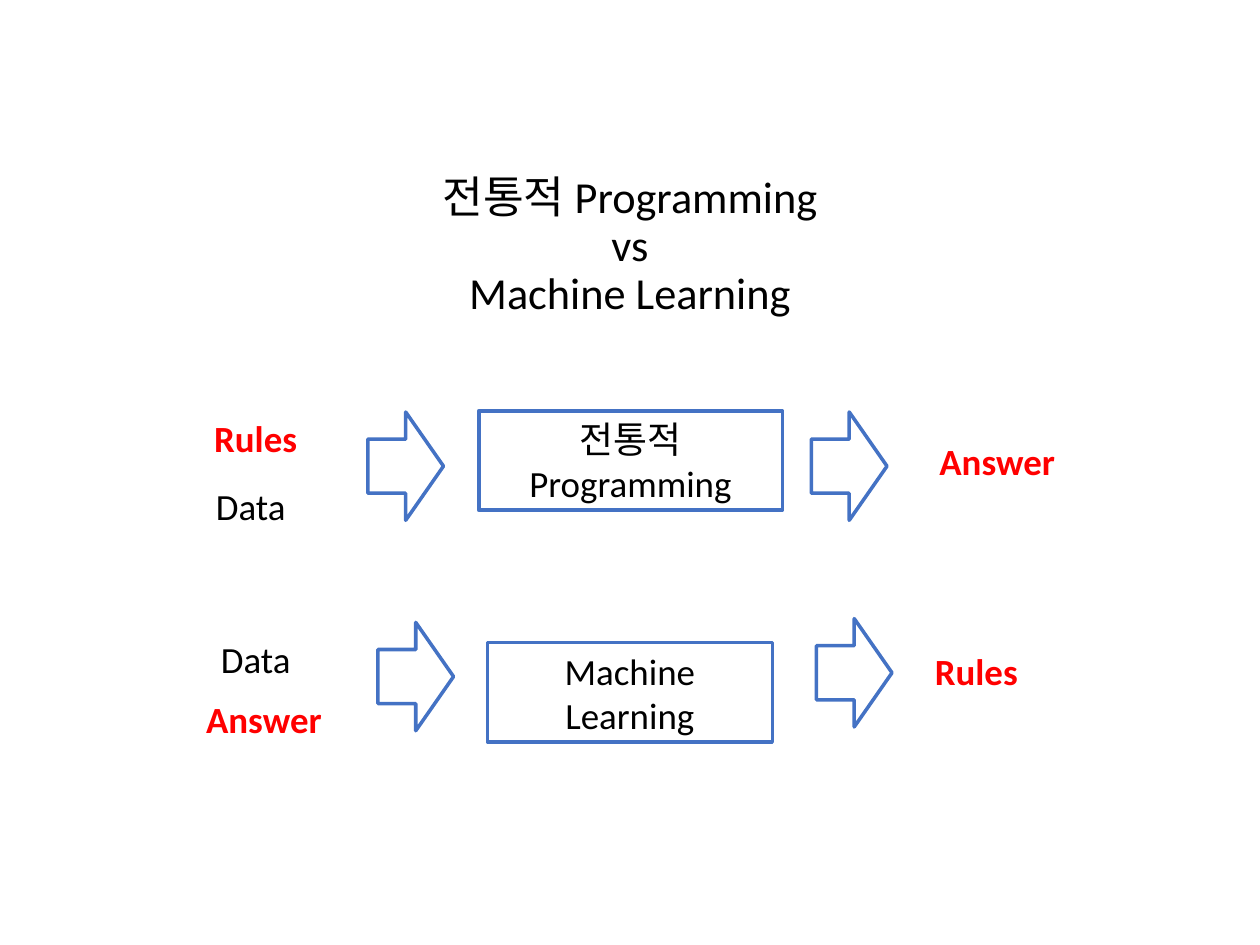
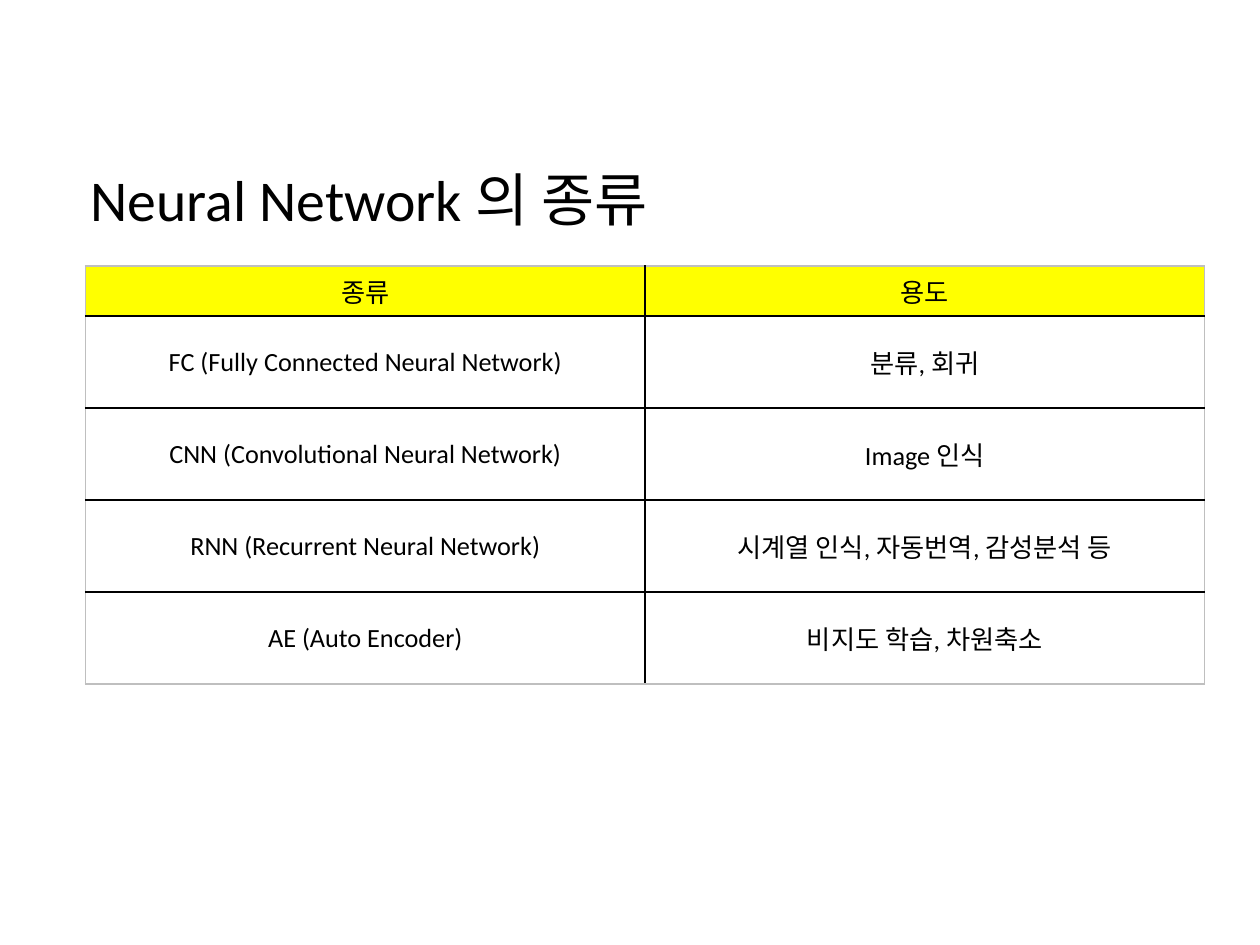
from lxml import etree
from pptx import Presentation
from pptx.dml.color import RGBColor
from pptx.enum.shapes import MSO_SHAPE
from pptx.enum.text import MSO_ANCHOR, PP_ALIGN
from pptx.oxml.ns import qn
from pptx.util import Inches, Pt

BLACK = RGBColor(0x00, 0x00, 0x00)
WHITE = RGBColor(0xFF, 0xFF, 0xFF)
RED = RGBColor(0xFF, 0x00, 0x00)
BLUE = RGBColor(0x44, 0x72, 0xC4)
YELLOW = RGBColor(0xFF, 0xFF, 0x00)
GRAY = RGBColor(0xBF, 0xBF, 0xBF)
FONT = "Calibri"
LABEL_SIZE = 21.1
LEFT, CENTER = PP_ALIGN.LEFT, PP_ALIGN.CENTER
TOP, MIDDLE = MSO_ANCHOR.TOP, MSO_ANCHOR.MIDDLE
RECTANGLE, RIGHT_ARROW = MSO_SHAPE.RECTANGLE, MSO_SHAPE.RIGHT_ARROW
LABEL_WIDTHS = {"Rules": 0.74, "Data": 0.64, "Answer": 1.01}


def write_text(frame, text, size=LABEL_SIZE, color=BLACK, bold=False,
               align=CENTER, anchor=MIDDLE, wrap=True, spacing=None):
    frame.word_wrap = wrap
    frame.vertical_anchor = anchor
    frame.margin_left = frame.margin_right = Inches(0.04)
    frame.margin_top = frame.margin_bottom = Inches(0.04)
    frame.text = text
    for para in frame.paragraphs:
        para.alignment = align
        if spacing:
            para.line_spacing = spacing
        for span in para.runs:
            span.font.name = FONT
            span.font.size = Pt(size)
            span.font.bold = bold
            span.font.color.rgb = color


def add_text(page, text, left, top, width, height, **style):
    box = page.shapes.add_textbox(
        Inches(left), Inches(top), Inches(width), Inches(height))
    write_text(box.text_frame, text, **style)


def add_outlined(page, preset, left, top, width, height):
    shape = page.shapes.add_shape(
        preset, Inches(left), Inches(top), Inches(width), Inches(height))
    shape.shadow.inherit = False
    shape.fill.solid()
    shape.fill.fore_color.rgb = WHITE
    shape.line.color.rgb = BLUE
    shape.line.width = Pt(2)
    return shape


def add_label(page, text, left, top):
    key = text != "Data"
    add_text(page, text, left, top, LABEL_WIDTHS[text], 0.43,
             color=RED if key else BLACK, bold=key, wrap=False)


def add_process(page, top, labels, step, arrows):
    name, left, step_top, width = step
    box = add_outlined(page, RECTANGLE, left, top + step_top, width, 0.79)
    write_text(box.text_frame, name)
    for text, label_left, label_top in labels:
        add_label(page, text, label_left, top + label_top)
    for arrow_left, arrow_top in arrows:
        add_outlined(page, RIGHT_ARROW, arrow_left, top + arrow_top, 0.6, 0.86)


def build_comparison(page):
    add_text(page, "전통적 Programming\vvs\vMachine Learning",
             0.73, 1.35, 8.54, 1.45, size=25.3, anchor=TOP, spacing=0.9)
    add_process(page, 3.26,
                [("Rules", 1.66, 0), ("Data", 1.67, 0.54), ("Answer", 7.41, 0.18)],
                ("전통적 Programming", 3.8, 0, 2.41),
                [(2.92, 0.01), (6.44, 0.01)])
    add_process(page, 4.91,
                [("Data", 1.71, 0.1), ("Answer", 1.59, 0.58), ("Rules", 7.38, 0.2)],
                ("Machine\nLearning", 3.87, 0.19, 2.26),
                [(3, 0.03), (6.48, 0)])


def set_borders(cell, colors):
    properties = cell._tc.get_or_add_tcPr()
    for index, (side, color) in enumerate(colors.items()):
        line = etree.Element(qn("a:" + side), w=str(Pt(1)))
        fill = etree.SubElement(line, qn("a:solidFill"))
        etree.SubElement(fill, qn("a:srgbClr"), val=str(color))
        properties.insert(index, line)


def add_grid(page, rows, left, top, width, header_height, row_height):
    last_row, last_column = len(rows) - 1, len(rows[0]) - 1
    height = header_height + row_height * last_row
    table = page.shapes.add_table(
        len(rows), len(rows[0]), Inches(left), Inches(top),
        Inches(width), Inches(height)).table
    for column in table.columns:
        column.width = Inches(width / len(rows[0]))
    for r, texts in enumerate(rows):
        table.rows[r].height = Inches(row_height if r else header_height)
        for c, text in enumerate(texts):
            cell = table.cell(r, c)
            write_text(cell.text_frame, text, size=15)
            cell.vertical_anchor = MIDDLE
            cell.margin_left = cell.margin_right = Inches(0.07)
            cell.margin_top = cell.margin_bottom = Inches(0.04)
            cell.fill.solid()
            cell.fill.fore_color.rgb = WHITE if r else YELLOW
            set_borders(cell, {
                "lnL": BLACK if c else GRAY,
                "lnR": GRAY if c == last_column else BLACK,
                "lnT": BLACK if r else GRAY,
                "lnB": GRAY if r == last_row else BLACK,
            })


def build_network_types(page):
    rows = [
        ("종류", "용도"),
        ("FC (Fully Connected Neural Network)", "분류, 회귀"),
        ("CNN (Convolutional Neural Network)", "Image 인식"),
        ("RNN (Recurrent Neural Network)", "시계열 인식, 자동번역, 감성분석 등"),
        ("AE (Auto Encoder)", "비지도 학습, 차원축소"),
    ]
    add_grid(page, rows, 0.68, 2.11, 8.88, 0.4, 0.73)
    add_text(page, "Neural Network 의 종류", 0.68, 1.26, 4.66, 0.63,
             size=33, align=LEFT, wrap=False)


def main():
    deck = Presentation()
    deck.slide_width, deck.slide_height = Inches(10), Inches(7.5)
    for build in (build_comparison, build_network_types):
        build(deck.slides.add_slide(deck.slide_layouts[6]))
    deck.save("out.pptx")


if __name__ == "__main__":
    main()
